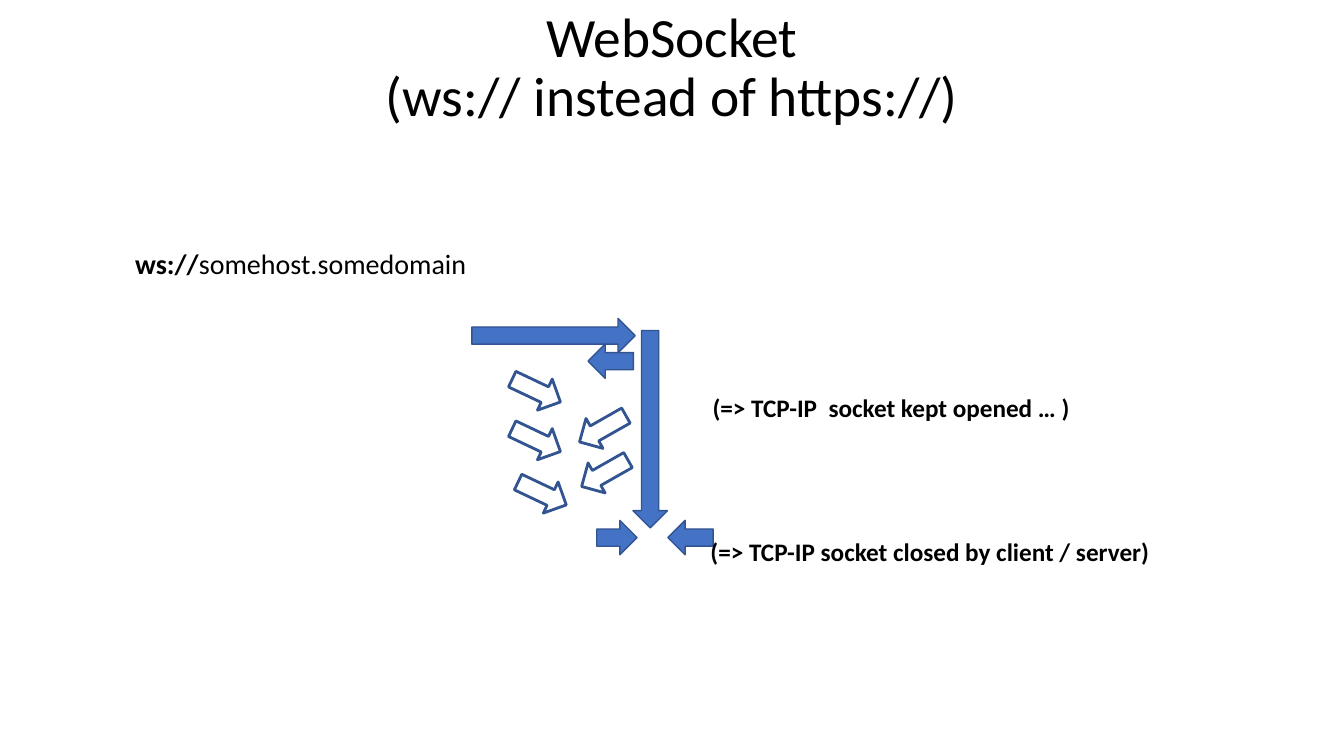
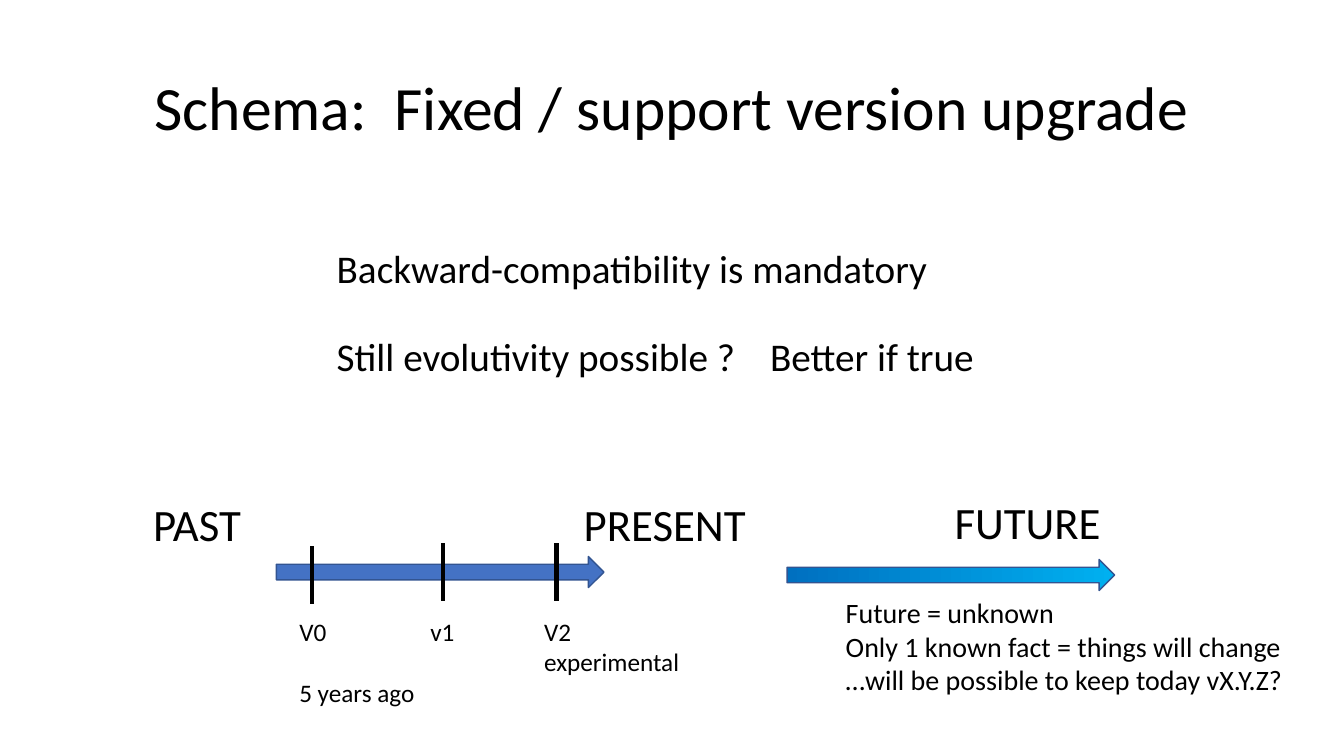
from pptx import Presentation
from pptx.dml.color import RGBColor
from pptx.enum.shapes import MSO_CONNECTOR, MSO_SHAPE
from pptx.enum.text import MSO_ANCHOR, MSO_AUTO_SIZE, PP_ALIGN
from pptx.oxml.ns import qn
from pptx.util import Inches, Pt
from lxml.etree import SubElement

# Shared style: a grid of 32 columns by 18 rows of square cells
SLIDE_W, SLIDE_H = Inches(13.333), Inches(7.5)
CELL = SLIDE_H / 18
FONT = "Calibri"
COLORS = {"text": "000000", "arrow": "4472C4", "outline": "325491",
          "near": "0070C0", "far": "00B0F0"}
# Rotations that turn a down arrow to each heading
DOWN, LEFT, RIGHT = 0, 90, 270
SLANT_LEFT, SLANT_RIGHT = 60.4, 295.4


def cells(*counts):
    return [round(count * CELL) for count in counts]


def rgb(name):
    return RGBColor.from_string(COLORS[name])


def add_run(paragraph, words, size, bold=False):
    run = paragraph.add_run()
    run.text = words
    run.font.name, run.font.size, run.font.bold = FONT, Pt(size), bold
    run.font.color.rgb = rgb("text")


def add_title_slide(prs, lines, size, top, height, anchor=MSO_ANCHOR.MIDDLE):
    slide = prs.slides.add_slide(prs.slide_layouts[5])
    title = slide.shapes.title
    title.left, title.top, title.width, title.height = cells(2.2, top, 27.6, height)
    frame = title.text_frame
    frame.auto_size, frame.word_wrap = MSO_AUTO_SIZE.NONE, True
    frame.vertical_anchor, frame.margin_top = anchor, 0
    heading = frame.paragraphs[0]
    heading.alignment, heading.line_spacing = PP_ALIGN.CENTER, 0.9
    for i, line in enumerate(lines):
        if i:
            heading.add_line_break()
        add_run(heading, line, size)
    return slide


def add_text(slide, box, paragraphs, size, wrap=False, gap=0):
    """Each paragraph is a list of (words, bold) runs; gap is set between them."""
    frame = slide.shapes.add_textbox(*cells(*box)).text_frame
    frame.word_wrap, frame.auto_size = wrap, MSO_AUTO_SIZE.SHAPE_TO_FIT_TEXT
    for i, runs in enumerate(paragraphs):
        paragraph = frame.add_paragraph() if i else frame.paragraphs[0]
        if i and gap:
            paragraph.space_before = Pt(gap)
        for words, bold in runs:
            add_run(paragraph, words, size, bold)
    return frame


def add_plain(slide, box, lines, size, **options):
    return add_text(slide, box, [[(line, False)] for line in lines], size, **options)


def add_arrow(slide, center, length, heading, thickness=0.82, hollow=False):
    x, y = center
    arrow = slide.shapes.add_shape(MSO_SHAPE.DOWN_ARROW, *cells(
        x - thickness / 2, y - length / 2, thickness, length))
    arrow.rotation = heading
    arrow.shadow.inherit = False
    if hollow:
        arrow.fill.background()
    else:
        arrow.fill.solid()
        arrow.fill.fore_color.rgb = rgb("arrow")
    arrow.line.color.rgb = rgb("outline")
    arrow.line.width = Pt(2 if hollow else 1)
    return arrow


def add_tick(slide, x, top, length=1.37):
    tick = slide.shapes.add_connector(
        MSO_CONNECTOR.STRAIGHT, *cells(x, top, x, top + length))
    tick.line.color.rgb = rgb("text")
    tick.line.width = Pt(3)
    SubElement(tick.element.spPr, qn("a:effectLst"))


def build_websocket(prs):
    slide = add_title_slide(prs, ["WebSocket", "(ws:// instead of https://)"],
                            39.6, 0.22, 4.22, MSO_ANCHOR.TOP)

    # Request, reply, open socket and the two ways to close it
    for center, length, heading in [((13.18, 7.99), 3.89, RIGHT),
                                    ((14.54, 8.6), 1.08, LEFT),
                                    ((15.48, 10.22), 4.7, DOWN),
                                    ((14.69, 12.8), 0.96, RIGHT),
                                    ((16.44, 12.8), 1.08, LEFT)]:
        add_arrow(slide, center, length, heading)

    # Messages in both directions
    messages = {SLANT_RIGHT: [(12.77, 9.3), (12.77, 10.48), (12.91, 11.75)],
                SLANT_LEFT: [(14.35, 10.21), (14.4, 11.27)]}
    for heading, centers in messages.items():
        for center in centers:
            add_arrow(slide, center, 1.27, heading, hollow=True)

    # Address and socket states
    add_text(slide, (2.98, 5.74, 9.05, 1.06),
             [[("ws://", True), ("somehost.somedomain", False)]], 20)
    add_text(slide, (16.73, 9.22, 9.07, 0.96),
             [[("(=> TCP-IP  socket kept opened … )", True)]], 18)
    add_text(slide, (16.68, 12.65, 11.04, 0.96),
             [[("(=> TCP-IP socket closed by client / server)", True)]], 18)


def build_schema(prs):
    slide = add_title_slide(prs, ["Schema:  Fixed / support version upgrade"],
                            44, 0.96, 3.48)

    # Requirements
    add_plain(slide, (7.78, 5.71, 14.69, 1.37),
              ["Backward-compatibility is mandatory"], 28)
    evolution = add_plain(slide, (7.78, 7.8, 15.74, 1.37),
                          ["Still evolutivity possible ?\tBetter if true"], 28)
    tabs = SubElement(evolution.paragraphs[0]._p.get_or_add_pPr(), qn("a:tabLst"))
    SubElement(tabs, qn("a:tab"), pos=str(Inches(4.3)), algn="l")

    # Timeline arrows
    add_arrow(slide, (10.48, 13.62), 7.8, RIGHT, 0.74)
    future = add_arrow(slide, (22.64, 13.69), 7.8, RIGHT, 0.74)
    future.fill.gradient()
    future.fill.gradient_angle = 270
    for stop, name in zip(future.fill.gradient_stops, ("near", "far")):
        stop.color.rgb = rgb(name)

    # Versions: tick position and top, label size and lines
    for x, top, width, height, lines in [
            (7.42, 13.01, 3.26, 2.42, ["V0", "5 years ago"]),
            (10.54, 12.94, 1.06, 0.96, ["v1"]),
            (13.25, 12.94, 3.74, 1.7, ["V2", "experimental"])]:
        add_tick(slide, x, top)
        add_plain(slide, (x - 0.53, 14.55, width, height), lines, 18,
                  gap=22 if lines[0] == "V0" else 0)

    # Periods
    for period, left, top, width in [("PAST", 3.41, 11.71, 3.17),
                                     ("PRESENT", 13.66, 11.71, 4.58),
                                     ("FUTURE", 22.49, 11.66, 4.58)]:
        add_plain(slide, (left, top, width, 1.54), [period], 32, wrap=True)
    add_plain(slide, (19.9, 14.06, 10.97, 2.66),
              ["Future = unknown", "Only 1 known fact = things will change",
               "…will be possible to keep today vX.Y.Z?"], 20)


def main():
    prs = Presentation()
    prs.slide_width, prs.slide_height = SLIDE_W, SLIDE_H
    build_websocket(prs)
    build_schema(prs)
    prs.save("out.pptx")


if __name__ == "__main__":
    main()
